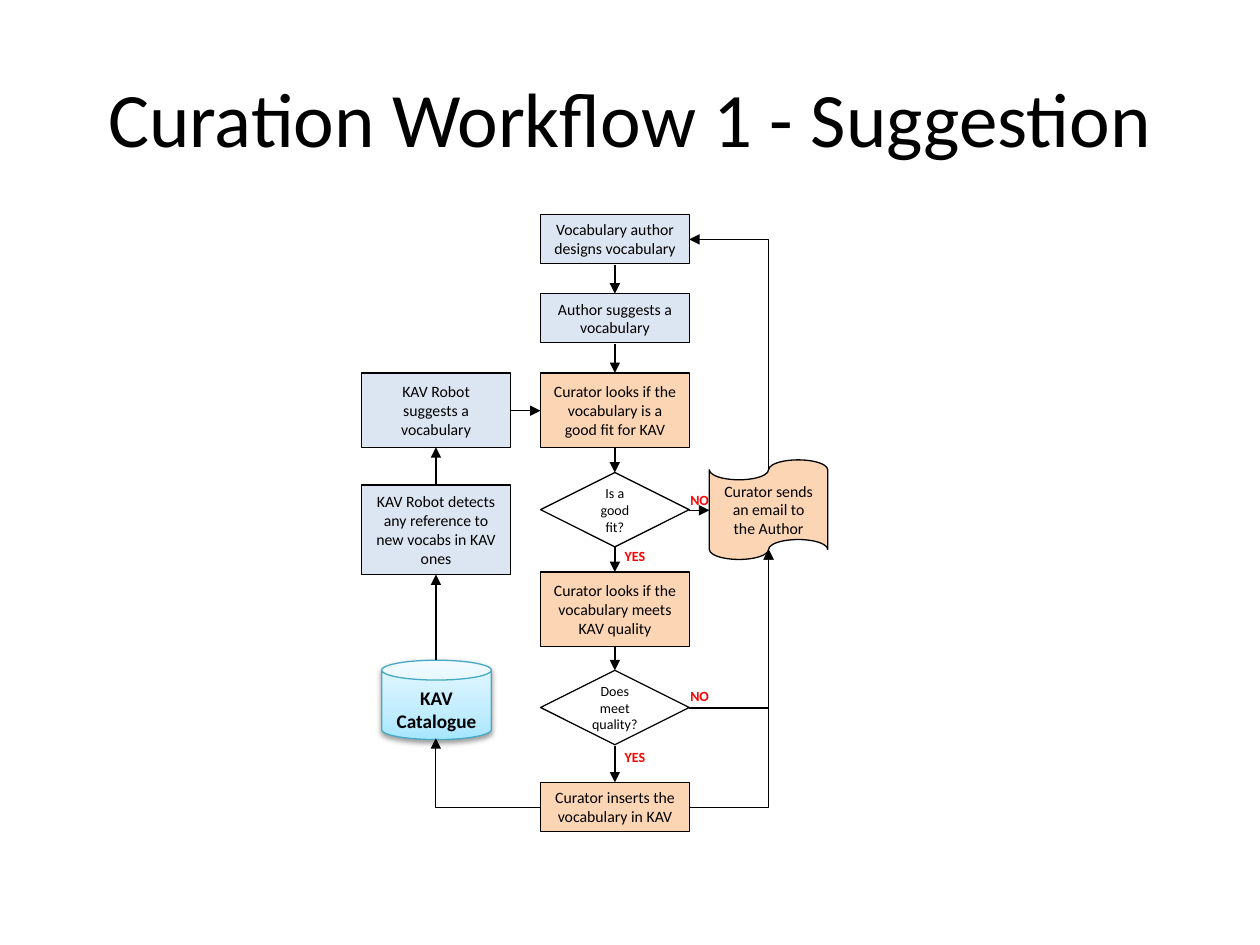
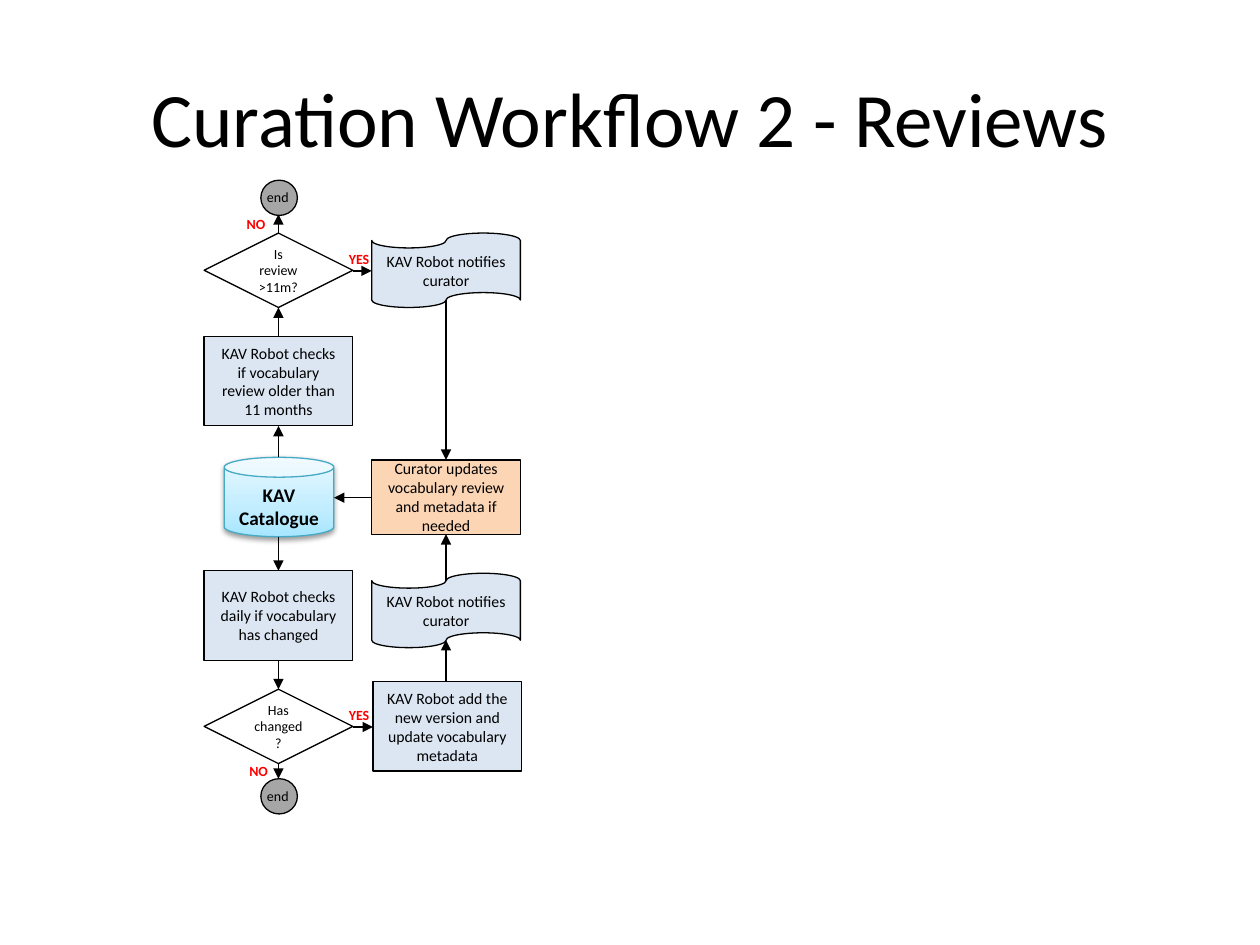
"""Build two slides that chart the curation workflow of a vocabulary catalogue."""
from pptx import Presentation, util as u
from pptx.dml.color import RGBColor as Rgb
from pptx.enum import shapes as es, text as et
from pptx.oxml import parse_xml
from pptx.oxml.ns import qn, nsdecls
from lxml import etree

HUE = {"ink": "000000", "robot": "DCE6F2", "human": "FCD5B5", "test": "FFFFFF",
       "end": "A6A6A6", "flag": "FF0000", "rim": "46AAC5"}
GRAD = [(0, "A7E6FF"), (35, "C1EDFF"), (100, "E7F8FF")]
FONT = "Calibri"
KIND = es.MSO_SHAPE
BOX, TEST, TAPE, CAN, DOT = (KIND.RECTANGLE, KIND.FLOWCHART_DECISION,
                             KIND.FLOWCHART_PUNCHED_TAPE, KIND.CAN, KIND.OVAL)
WIDE, LOW, MID, TALL = 1.18, 0.39, 0.59, 0.71
TOP, LEFT, BASE, RIGHT = range(4)


def put(home, words, at, kind=None, fill="robot", size=9, bold=False, ink="ink", rim="ink"):
    area = [u.Inches(n) for n in at]
    if kind is None:
        item = home.add_textbox(*area)
        item.text_frame.word_wrap = False
        item.text_frame.auto_size = et.MSO_AUTO_SIZE.SHAPE_TO_FIT_TEXT
    else:
        item = home.add_shape(kind, *area)
        item.shadow.inherit = False
        item.line.color.rgb = Rgb.from_string(HUE[rim])
        item.line.width = u.Pt(0.75)
        item.fill.solid()
        item.fill.fore_color.rgb = Rgb.from_string(HUE[fill])
        item.text_frame.word_wrap = True
        item.text_frame.vertical_anchor = (
            et.MSO_ANCHOR.TOP if kind == CAN else et.MSO_ANCHOR.MIDDLE)
    if kind == CAN:
        stops = "".join(f'<a:gs pos="{pos * 1000}"><a:srgbClr val="{hue}"/></a:gs>'
                        for pos, hue in GRAD)
        props = item._element.spPr
        props.replace(props.find(qn("a:solidFill")), parse_xml(
            f'<a:gradFill {nsdecls("a")} rotWithShape="1"><a:gsLst>{stops}</a:gsLst>'
            '<a:lin ang="16200000" scaled="0"/></a:gradFill>'))
        props.find(qn("a:effectLst")).append(parse_xml(
            f'<a:outerShdw {nsdecls("a")} blurRad="39400" dist="20300" dir="5400000" '
            'rotWithShape="0"><a:srgbClr val="000000"><a:alpha val="38000"/>'
            '</a:srgbClr></a:outerShdw>'))
    if words:
        para = item.text_frame.paragraphs[0]
        para.alignment = et.PP_ALIGN.CENTER if kind else et.PP_ALIGN.LEFT
        run = para.add_run()
        run.text = words
        run.font.name, run.font.size, run.font.bold = FONT, u.Pt(size), bold
        run.font.color.rgb = Rgb.from_string(HUE[ink])
    return item


def link(page, start, stop, ends=None, tip="tailEnd"):
    style = es.MSO_CONNECTOR.ELBOW if ends else es.MSO_CONNECTOR.STRAIGHT
    x, y, to_x, to_y = [u.Inches(n) for n in (*start, *stop)]
    line = page.shapes.add_connector(style, x, y, to_x, to_y)
    props = line._element.spPr
    if ends:
        line.begin_connect(*ends[0])
        line.end_connect(*ends[1])
        line.begin_x, line.begin_y, line.end_x, line.end_y = x, y, to_x, to_y
        props.find(qn("a:prstGeom")).set("prst", "bentConnector2")
    line.line.color.rgb = Rgb.from_string(HUE["ink"])
    line.line.width = u.Pt(0.75)
    etree.SubElement(props.find(qn("a:ln")), qn("a:" + tip), type="triangle")
    etree.SubElement(props, qn("a:effectLst"))


deck = Presentation()
deck.slide_width, deck.slide_height = u.Inches(10), u.Inches(7.5)
pages = []
for name in ("Curation Workflow 1 - Suggestion", "Curation Workflow 2 - Reviews"):
    page = deck.slides.add_slide(deck.slide_layouts[5])
    title = page.shapes.title
    title.left, title.top, title.width, title.height = [
        u.Inches(n) for n in (0.5, 0.3, 9, 1.25)]
    title.text = name
    font = title.text_frame.paragraphs[0].runs[0].font
    font.name, font.size = FONT, u.Pt(44)
    font.color.rgb = Rgb.from_string(HUE["ink"])
    pages.append(page)
first, second = pages

STEPS = [
    [(4.29, 1.7, LOW, BOX, "robot", "Vocabulary author designs vocabulary"),
     (4.29, 2.33, LOW, BOX, "robot", "Author suggests a vocabulary"),
     (4.29, 2.96, MID, BOX, "human", "Curator looks if the vocabulary is a good fit for KAV"),
     (4.29, 3.75, MID, TEST, "test", "Is a good fit?"),
     (4.29, 4.54, MID, BOX, "human", "Curator looks if the vocabulary meets KAV quality"),
     (4.29, 5.32, MID, TEST, "test", "Does meet quality?"),
     (4.29, 6.21, LOW, BOX, "human", "Curator inserts the vocabulary in KAV"),
     (2.87, 2.96, MID, BOX, "robot", "KAV Robot suggests a vocabulary"),
     (2.87, 3.85, TALL, BOX, "robot",
      "KAV Robot detects any reference to new vocabs in KAV ones")],
    [(1.62, 1.85, MID, TEST, "test", "Is review >11m?"),
     (1.62, 2.67, TALL, BOX, "robot",
      "KAV Robot checks if vocabulary review older than 11 months"),
     (1.62, 4.53, TALL, BOX, "robot", "KAV Robot checks daily if vocabulary has changed"),
     (1.62, 5.47, MID, TEST, "test", "Has changed?"),
     (2.95, 1.85, MID, TAPE, "robot", "KAV Robot notifies curator"),
     (2.95, 3.65, MID, BOX, "human",
      "Curator updates vocabulary review and metadata if needed"),
     (2.95, 4.55, MID, TAPE, "robot", "KAV Robot notifies curator"),
     (2.96, 5.41, TALL, BOX, "robot",
      "KAV Robot add the new version and update vocabulary metadata")]]
FLAGS = [
    [("NO", 5.38, 3.85), ("NO", 5.38, 5.41), ("YES", 4.86, 4.3), ("YES", 4.86, 5.89)],
    [("NO", 1.86, 1.66), ("YES", 2.67, 1.94), ("NO", 1.88, 6), ("YES", 2.67, 5.56)]]
CANS = [(3.03, 5.24), (1.78, 3.63)]
LINES = [
    [((4.88, y), (4.88, end)) for y, end in (
        (2.1, 2.33), (2.73, 2.96), (3.55, 3.75), (4.34, 4.54), (5.13, 5.32), (5.92, 6.21))]
    + [((3.46, 5.24), (3.46, 4.56)), ((3.46, 3.85), (3.46, 3.55)),
       ((4.05, 3.26), (4.29, 3.26)), ((5.47, 4.05), (5.63, 4.05))],
    [((2.21, y), (2.21, end)) for y, end in (
        (1.85, 1.7), (2.67, 2.44), (3.63, 3.38), (4.26, 4.53), (5.24, 5.47), (6.06, 6.18))]
    + [((3.54, y), (3.54, end)) for y, end in ((2.38, 3.65), (4.61, 4.24), (5.41, 5.08))]
    + [((2.8, 2.15), (2.95, 2.15)), ((2.8, 5.77), (2.96, 5.77)),
       ((2.95, 3.95), (2.65, 3.95))]]

nodes, cans = [], []
for page, steps, flags, spot, lines in zip(pages, STEPS, FLAGS, CANS, LINES):
    nodes.append([put(page.shapes, words, (x, y, WIDE, high), kind, fill,
                      size=8 if kind == TEST else 9)
                  for x, y, high, kind, fill, words in steps])
    cans.append(put(page.shapes, "KAV Catalogue", (*spot, 0.87, 0.63), CAN,
                    size=11, bold=True, rim="rim"))
    for start, stop in lines:
        link(page, start, stop)
    for words, x, y in flags:
        put(page.shapes, words, (x, y, 0.35 if words == "NO" else 0.37, 0.24),
            size=8, bold=True, ink="flag")

mail = put(first.shapes, "Curator sends an email to the Author", (5.63, 3.65, 0.94, 0.79),
           TAPE, "human")
draft, check, store = nodes[0][0], nodes[0][5], nodes[0][6]
link(first, (5.47, 1.9), (6.1, 3.73), ((draft, RIGHT), (mail, TOP)), tip="headEnd")
link(first, (5.47, 5.62), (6.1, 4.36), ((check, RIGHT), (mail, BASE)))
link(first, (5.47, 6.41), (6.1, 4.36), ((store, RIGHT), (mail, BASE)))
link(first, (4.29, 6.41), (3.46, 5.86), ((store, LEFT), (cans[0], 3)))

for y in (1.43, 6.18):
    group = second.shapes.add_group_shape()
    put(group.shapes, "", (2.07, y, 0.29, 0.28), DOT, "end")
    put(group.shapes, "end", (2.02, y + 0.02, 0.38, 0.24), size=8)

deck.save("out.pptx")
